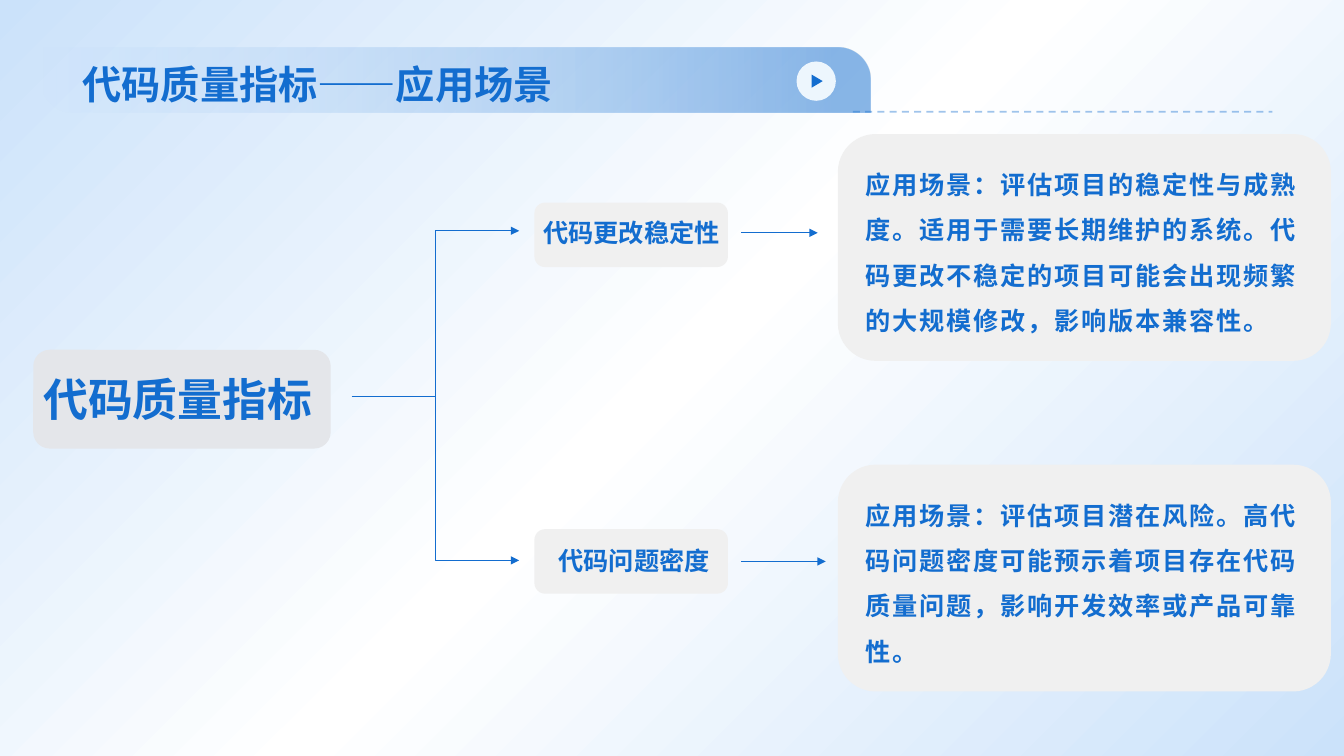
from lxml import etree
from pptx import Presentation
from pptx.dml.color import RGBColor
from pptx.enum.dml import MSO_LINE_DASH_STYLE as DASH
from pptx.enum.shapes import MSO_CONNECTOR_TYPE as LINK, MSO_SHAPE as SHAPE
from pptx.enum.text import MSO_ANCHOR, MSO_AUTO_SIZE, PP_ALIGN
from pptx.oxml.ns import qn
from pptx.util import Inches, Pt


def rgb(color):
    return RGBColor.from_string(color)


class Board:
    BLUE, BOX, FONT = "136DCF", "F0F0F0", "Arial"

    def __init__(self, slide):
        self.slide = slide
        self.shapes = slide.shapes

    def gradient(self, fill, owner, stops, angle):
        """Each stop is (position %, colour, opacity %)."""
        fill.gradient()
        fill.gradient_angle = angle
        stop_list = owner.find(".//" + qn("a:gsLst"))
        for old in list(stop_list):
            stop_list.remove(old)
        for position, color, opacity in stops:
            stop = etree.SubElement(stop_list, qn("a:gs"), pos=str(position * 1000))
            tint = etree.SubElement(stop, qn("a:srgbClr"), val=color)
            if opacity < 100:
                etree.SubElement(tint, qn("a:alpha"), val=str(opacity * 1000))

    def background(self, stops, angle):
        self.gradient(self.slide.background.fill, self.slide._element, stops, angle)

    def panel(self, kind, at, color=BOX):
        panel = self.shapes.add_shape(kind, *map(Inches, at))
        panel.shadow.inherit = False
        panel.fill.solid()
        panel.fill.fore_color.rgb = rgb(color)
        panel.line.fill.background()
        return panel

    def set_words(self, holder, words, size, leading=None, tracking=None):
        frame = holder.text_frame
        frame.word_wrap = True
        frame.text = words
        paragraph = frame.paragraphs[0]
        paragraph.alignment = PP_ALIGN.LEFT
        if leading:
            paragraph.line_spacing = leading
        run = paragraph.runs[0]
        run.font.name, run.font.size, run.font.bold = self.FONT, Pt(size), True
        run.font.color.rgb = rgb(self.BLUE)
        if tracking:
            run.font._element.set("spc", str(round(tracking * 100)))

    def label(self, at, words, size, **spacing):
        self.set_words(self.shapes.add_textbox(*map(Inches, at)), words, size, **spacing)

    def title(self, at, words, size):
        title = self.shapes.title
        title.left, title.top, title.width, title.height = map(Inches, at)
        self.set_words(title, words, size)
        title.text_frame.vertical_anchor = MSO_ANCHOR.BOTTOM
        title.text_frame.auto_size = MSO_AUTO_SIZE.NONE
        # Bring the title in front of the banner
        self.shapes._spTree.append(title._element)

    def link(self, start, end, kind=LINK.STRAIGHT, width=0.5, arrow=True):
        link = self.shapes.add_connector(kind, *map(Inches, (*start, *end)))
        link.line.width = Pt(width)
        link.line.color.rgb = rgb(self.BLUE)
        properties = link._element.spPr
        if arrow:
            etree.SubElement(properties.find(qn("a:ln")), qn("a:tailEnd"), type="triangle")
        etree.SubElement(properties, qn("a:effectLst"))
        return link


def main():
    deck = Presentation()
    deck.slide_width, deck.slide_height = Inches(13.33), Inches(7.5)
    board = Board(deck.slides.add_slide(deck.slide_layouts[5]))
    board.background([(0, "CBE2FA", 100), (50, "FFFFFF", 100), (100, "CBE2FA", 100)], 315)

    # Title banner with play button and dashed rule
    banner = board.panel(SHAPE.ROUND_2_DIAG_RECTANGLE, (0.4, 0.47, 8.23, 0.65))
    banner.adjustments[0], banner.adjustments[1] = 0, 0.5
    board.gradient(banner.fill, banner._element,
                   [(0, "97C4F5", 0), (96, board.BLUE, 50)], 0)
    board.panel(SHAPE.OVAL, (7.9, 0.61, 0.39, 0.39), "EDF6FD")
    play = board.panel(SHAPE.ISOSCELES_TRIANGLE, (8.04, 0.75, 0.13, 0.11), board.BLUE)
    play.rotation = 90
    rule = board.link((8.46, 1.11), (12.62, 1.11), width=1.25, arrow=False)
    rule.line.dash_style = DASH.DASH
    tint = rule._element.spPr.find(".//" + qn("a:srgbClr"))
    etree.SubElement(tint, qn("a:alpha"), val="40000")
    board.title((0.72, 0.14, 11.88, 0.98), "代码质量指标——应用场景", 28)

    # Root topic
    board.panel(SHAPE.ROUNDED_RECTANGLE, (0.33, 3.47, 2.95, 0.98), "E4E6EA")
    board.label((0.33, 3.64, 2.95, 0.64), "代码质量指标", 32)

    # Branches: metric box, its label, arrows and the scenario card
    branches = [
        (2.01, 2.29, (5.29, 2.11, 2.07, 0.4), "代码更改稳定性", 2.31, 8.11, 1.33,
         "应用场景：评估项目的稳定性与成熟度。适用于需要长期维护的系统。"
         "代码更改不稳定的项目可能会出现频繁的大规模修改，影响版本兼容性。"),
        (5.25, 5.56, (5.44, 5.36, 2.25, 0.4), "代码问题密度", 5.57, 8.19, 4.61,
         "应用场景：评估项目潜在风险。高代码问题密度可能预示着项目存在代码质量问题，"
         "影响开发效率或产品可靠性。"),
    ]
    for box_top, branch_y, name_at, metric, arrow_y, arrow_end, card_top, scenario in branches:
        board.link((3.49, 3.93), (5.15, branch_y), LINK.ELBOW)
        board.panel(SHAPE.ROUNDED_RECTANGLE, (5.3, box_top, 1.92, 0.64))
        board.label(name_at, metric, 18)
        board.link((7.35, arrow_y), (arrow_end, arrow_y))
        board.panel(SHAPE.ROUNDED_RECTANGLE, (8.31, card_top, 4.89, 2.25))
        board.label((8.49, card_top + 0.15, 4.53, 1.86), scenario, 18,
                    leading=1.5, tracking=1.3)

    deck.save("out.pptx")


if __name__ == "__main__":
    main()
